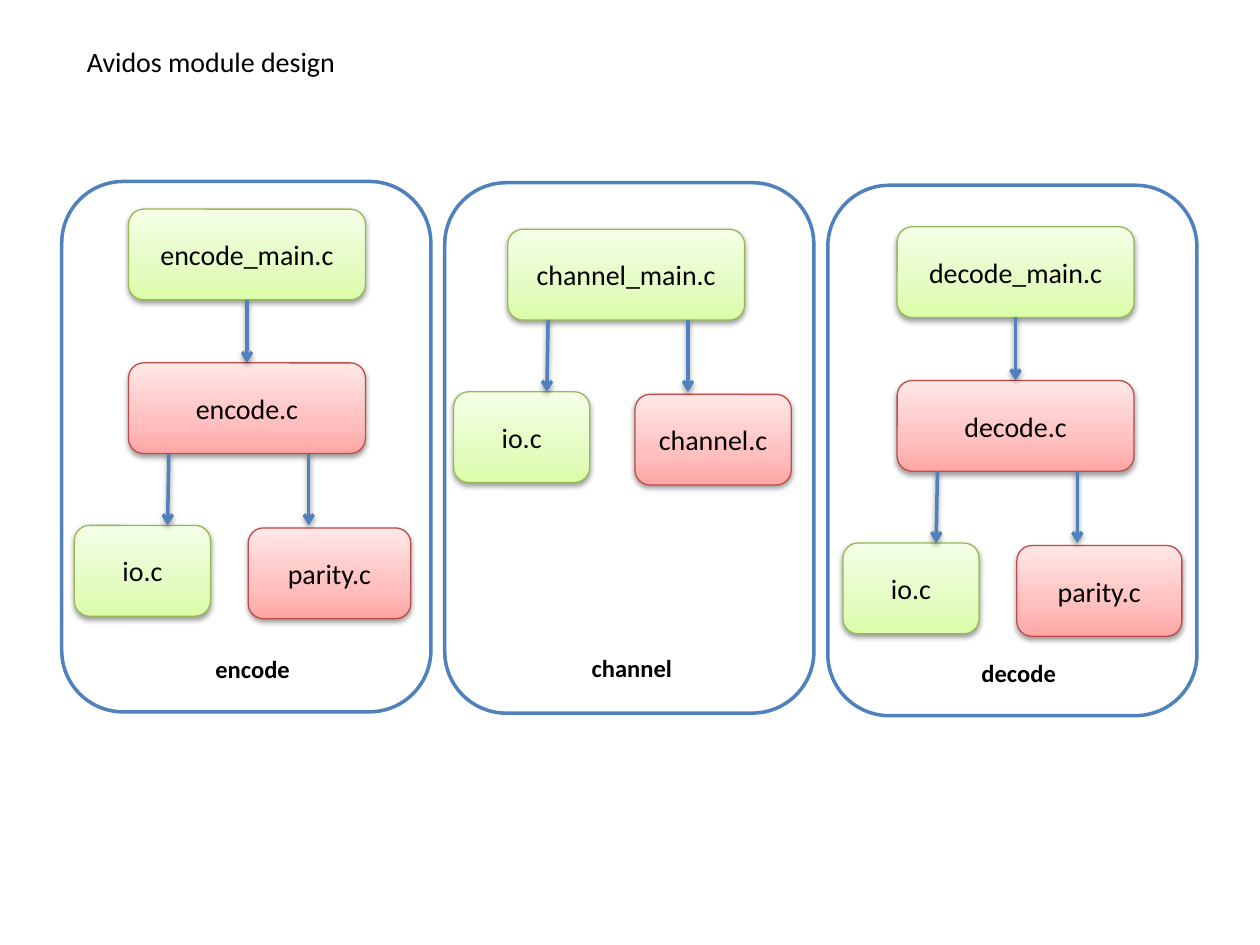
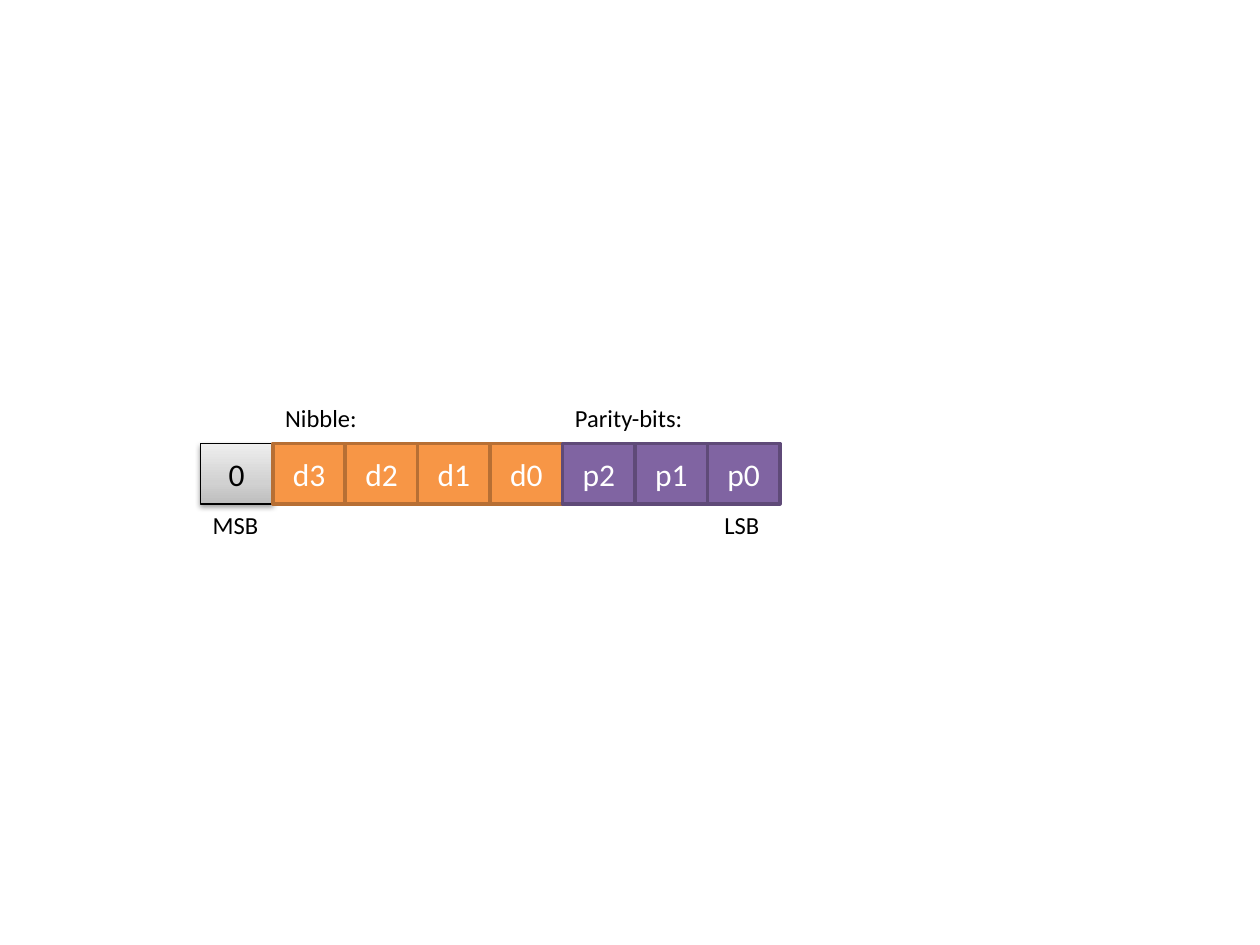
from dataclasses import dataclass

from lxml import etree
from pptx import Presentation
from pptx.dml.color import RGBColor
from pptx.enum.shapes import MSO_CONNECTOR, MSO_SHAPE
from pptx.enum.text import MSO_ANCHOR, MSO_AUTO_SIZE, PP_ALIGN
from pptx.oxml.ns import qn
from pptx.util import Inches, Pt

ROUNDED = MSO_SHAPE.ROUNDED_RECTANGLE
RECTANGLE = MSO_SHAPE.RECTANGLE
STRAIGHT = MSO_CONNECTOR.STRAIGHT
LEFT, CENTER = PP_ALIGN.LEFT, PP_ALIGN.CENTER
TOP, MIDDLE = MSO_ANCHOR.TOP, MSO_ANCHOR.MIDDLE
FIT_SHAPE = MSO_AUTO_SIZE.SHAPE_TO_FIT_TEXT
NO_FIT = MSO_AUTO_SIZE.NONE
BOTTOM_SITE, TOP_SITE = 2, 0
TITLE_ONLY, BLANK = 5, 6


@dataclass(frozen=True)
class Style:
    fill: tuple
    line: str
    line_width: float
    text: str
    shadow: bool = False


@dataclass(frozen=True)
class Theme:
    font: str = "Calibri"
    ink: str = "000000"
    arrow: str = "4F81BD"
    heavy_line: float = 2
    file_size: int = 16
    caption_size: int = 14
    bit_size: int = 18
    panel: Style = Style(("FFFFFF",), "4F81BD", 2, "000000")
    shared: Style = Style(("DAFDA7", "E4FCC2", "F5FFE7"), "98B955", 0.75, "000000", True)
    core: Style = Style(("FFA6A5", "FFC0BF", "FFE7E7"), "BF4C48", 0.75, "000000", True)
    zero_bit: Style = Style(("BDBDBD", "D1D1D1", "EEEEEE"), "000000", 0.75, "000000", True)
    data_bit: Style = Style(("F79646",), "B76F34", 2, "FFFFFF")
    parity_bit: Style = Style(("8064A2",), "5F4A78", 2, "FFFFFF")


@dataclass(frozen=True)
class Module:
    name: str
    panel_top: float
    label_offset: tuple
    stack_offset: tuple
    chain: tuple
    leaf: str
    leaf_shift: float
    leaf_width: float


THEME = Theme()
GRADIENT_STOPS = (0, 35, 100)

PANEL_LEFT, PANEL_PITCH = 0.49, 3.04
PANEL_WIDTH, PANEL_HEIGHT = 2.93, 4.21
FILE_WIDTH, FILE_HEIGHT, FILE_PITCH = 1.88, 0.72, 1.22
IO_SHIFT, IO_WIDTH, BRANCH_DROP = -0.43, 1.08, 0.57
LEAF_DROP = BRANCH_DROP + 0.02
BRANCH_ARROWS = ((0.32, 0.31), (1.43, 1.43))

BIT_LEFT, BIT_TOP, BIT_PITCH, BIT_HEIGHT = 1.59, 3.52, 0.575, 0.48

MODULES = (
    Module("encode", 1.44, (0.85, 3.7), (0.53, 0.22),
           ("encode_main.c", "encode.c"), "parity.c", 0.95, 1.29),
    Module("channel", 1.45, (0.82, 3.68), (0.5, 0.37),
           ("channel_main.c",), "channel.c", 1.01, 1.24),
    Module("decode", 1.47, (0.85, 3.7), (0.55, 0.33),
           ("decode_main.c", "decode.c"), "parity.c", 0.95, 1.31),
)


def inches(*lengths):
    return [Inches(length) for length in lengths]


def write(text_frame, text, size, color, bold=False, align=LEFT, anchor=TOP):
    text_frame.word_wrap = True
    text_frame.vertical_anchor = anchor
    paragraph = text_frame.paragraphs[0]
    paragraph.alignment = align
    run = paragraph.add_run()
    run.text = text
    run.font.name = THEME.font
    run.font.size = Pt(size)
    run.font.bold = bold
    run.font.color.rgb = RGBColor.from_string(color)


def add_shadow(effects):
    shadow = etree.SubElement(effects, qn("a:outerShdw"), blurRad="40000",
                              dist="20000", dir="5400000", rotWithShape="0")
    color = etree.SubElement(shadow, qn("a:srgbClr"), val="000000")
    etree.SubElement(color, qn("a:alpha"), val="38000")


def paint(shape, colors):
    if len(colors) == 1:
        shape.fill.solid()
        shape.fill.fore_color.rgb = RGBColor.from_string(colors[0])
        return
    shape.fill.gradient()
    shape.fill.gradient_angle = 90
    stops = shape.element.spPr.find(".//" + qn("a:gsLst"))
    for stop in list(stops):
        stops.remove(stop)
    for position, color in zip(GRADIENT_STOPS, colors):
        stop = etree.SubElement(stops, qn("a:gs"), pos=str(position * 1000))
        etree.SubElement(stop, qn("a:srgbClr"), val=color)


def add_box(slide, kind, bounds, style, text=None, size=THEME.file_size):
    shape = slide.shapes.add_shape(kind, *inches(*bounds))
    paint(shape, style.fill)
    shape.line.color.rgb = RGBColor.from_string(style.line)
    shape.line.width = Pt(style.line_width)
    shape.shadow.inherit = False
    if style.shadow:
        add_shadow(shape.element.spPr.find(qn("a:effectLst")))
    if text:
        write(shape.text_frame, text, size, style.text, align=CENTER, anchor=MIDDLE)
    return shape


def add_caption(slide, text, left, top, width, bold=False, align=LEFT):
    box = slide.shapes.add_textbox(*inches(left, top, width, 0.34))
    write(box.text_frame, text, THEME.caption_size, THEME.ink, bold, align)
    box.text_frame.auto_size = FIT_SHAPE


def add_arrow(slide, start, end):
    arrow = slide.shapes.add_connector(STRAIGHT, *inches(*start, *end))
    arrow.line.color.rgb = RGBColor.from_string(THEME.arrow)
    arrow.line.width = Pt(THEME.heavy_line)
    etree.SubElement(arrow.line._get_or_add_ln(), qn("a:tailEnd"), type="arrow")
    add_shadow(etree.SubElement(arrow._element.spPr, qn("a:effectLst")))
    return arrow


def add_title(slide, text):
    title = slide.shapes.title
    title.left, title.top, title.width, title.height = inches(0.59, 0.3, 8.79, 0.37)
    write(title.text_frame, text, THEME.file_size, THEME.ink)
    title.text_frame.auto_size = NO_FIT


def add_module(slide, column, module):
    panel_left = PANEL_LEFT + column * PANEL_PITCH
    add_box(slide, ROUNDED, (panel_left, module.panel_top, PANEL_WIDTH, PANEL_HEIGHT),
            THEME.panel)
    label_x, label_y = module.label_offset
    add_caption(slide, module.name, panel_left + label_x, module.panel_top + label_y,
                1.33, bold=True, align=CENTER)

    left = panel_left + module.stack_offset[0]
    top = module.panel_top + module.stack_offset[1]
    middle = left + FILE_WIDTH / 2
    parent = None
    for row, (name, style) in enumerate(zip(module.chain, (THEME.shared, THEME.core))):
        file_top = top + row * FILE_PITCH
        box = add_box(slide, ROUNDED, (left, file_top, FILE_WIDTH, FILE_HEIGHT), style, name)
        if parent:
            arrow = add_arrow(slide, (middle, file_top - FILE_PITCH + FILE_HEIGHT),
                              (middle, file_top))
            arrow.begin_connect(parent, BOTTOM_SITE)
            arrow.end_connect(box, TOP_SITE)
        parent = box

    bottom = file_top + FILE_HEIGHT
    add_box(slide, ROUNDED, (left + module.leaf_shift, bottom + LEAF_DROP,
                             module.leaf_width, FILE_HEIGHT), THEME.core, module.leaf)
    add_box(slide, ROUNDED, (left + IO_SHIFT, bottom + BRANCH_DROP, IO_WIDTH, FILE_HEIGHT),
            THEME.shared, "io.c")
    for start, end in BRANCH_ARROWS:
        add_arrow(slide, (left + start, bottom), (left + end, bottom + BRANCH_DROP))


def build_module_slide(presentation):
    slide = presentation.slides.add_slide(presentation.slide_layouts[TITLE_ONLY])
    add_title(slide, "Avidos module design")
    for column, module in enumerate(MODULES):
        add_module(slide, column, module)


def build_codeword_slide(presentation):
    slide = presentation.slides.add_slide(presentation.slide_layouts[BLANK])
    groups = ((("0",), THEME.zero_bit),
              (("d3", "d2", "d1", "d0"), THEME.data_bit),
              (("p2", "p1", "p0"), THEME.parity_bit))
    bits = [(bit, style) for names, style in groups for bit in names]
    for column, (bit, style) in enumerate(bits):
        left = BIT_LEFT + column * BIT_PITCH
        add_box(slide, RECTANGLE, (left, BIT_TOP, BIT_PITCH, BIT_HEIGHT), style, bit,
                THEME.bit_size)

    above, below = BIT_TOP - 0.37, BIT_TOP + BIT_HEIGHT
    captions = (("MSB", 0, below, 0.6), ("Nibble:", 1, above, 0.82),
                ("Parity-bits:", 5, above, 1.41), ("LSB", 7.06, below, 0.52))
    for text, column, top, width in captions:
        add_caption(slide, text, BIT_LEFT + column * BIT_PITCH, top, width)


def main():
    presentation = Presentation()
    presentation.slide_width, presentation.slide_height = inches(10, 7.5)
    build_module_slide(presentation)
    build_codeword_slide(presentation)
    presentation.save("out.pptx")


if __name__ == "__main__":
    main()
